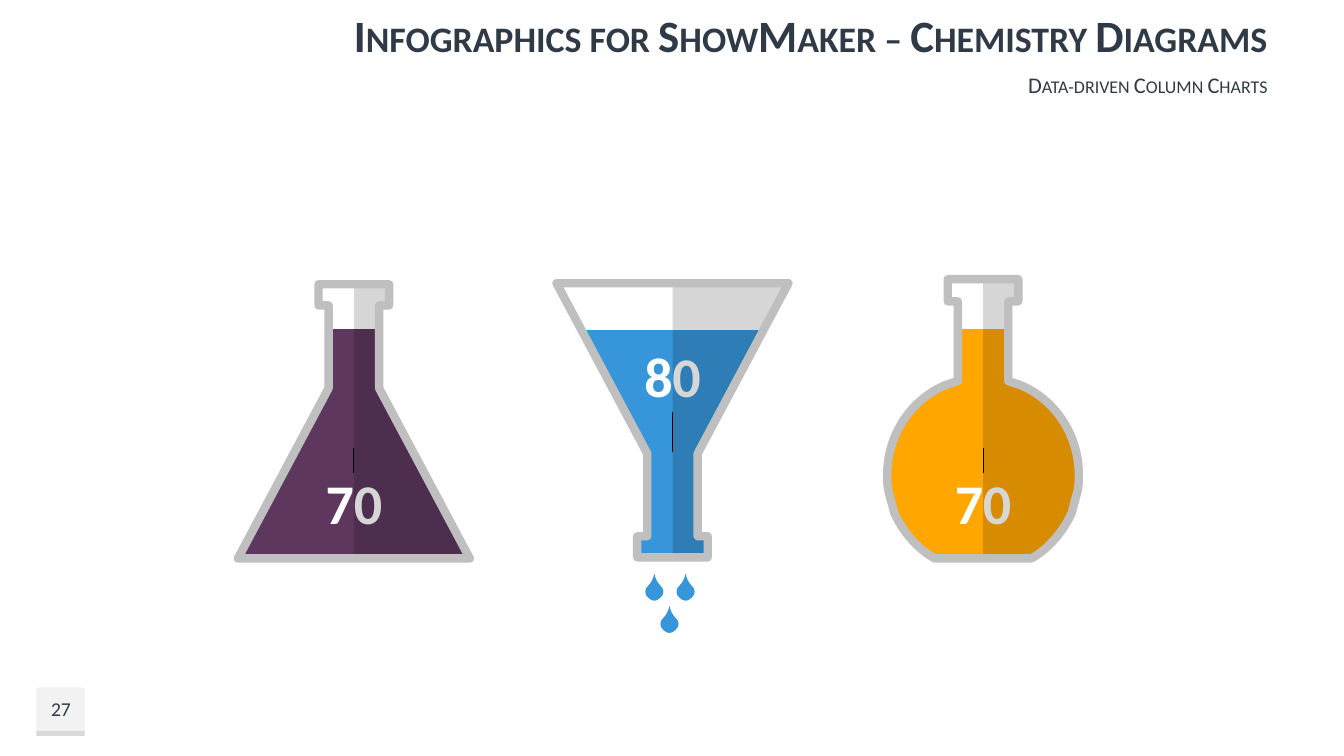
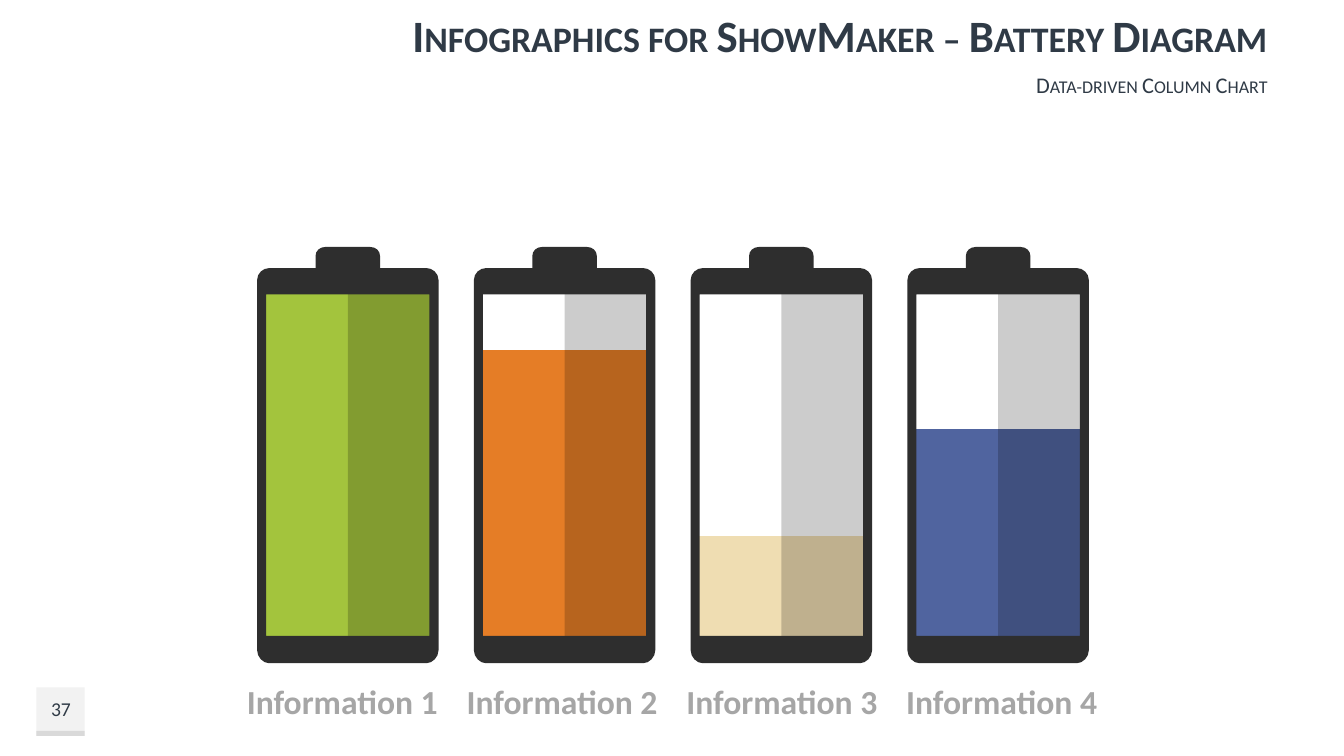
from lxml import etree
from pptx import Presentation, util as u
from pptx.chart.data import CategoryChartData
from pptx.dml.color import RGBColor
from pptx.enum import chart as ch, shapes, text
from pptx.oxml import parse_xml
from pptx.oxml.ns import nsdecls, qn

FONT = "Calibri"
INK = RGBColor(0x2F, 0x3A, 0x46)
WHITE = RGBColor(0xFF, 0xFF, 0xFF)
BLACK = RGBColor(0, 0, 0)
BADGE = RGBColor(0xF2, 0xF2, 0xF2)
BADGE_EDGE = RGBColor(0xD9, 0xD9, 0xD9)
GLASS = RGBColor(0xBF, 0xBF, 0xBF)
CASE = RGBColor(0x2E, 0x2E, 0x2E)
CAPTION = RGBColor(0xA6, 0xA6, 0xA6)
PLUM = RGBColor(0x5E, 0x37, 0x5E)
BLUE = RGBColor(0x37, 0x96, 0xDA)
AMBER = RGBColor(0xFF, 0xA6, 0x00)
LIME = RGBColor(0xA3, 0xC4, 0x3D)
ORANGE = RGBColor(0xE5, 0x7D, 0x26)
SAND = RGBColor(0xEF, 0xDD, 0xB2)
NAVY = RGBColor(0x50, 0x64, 0x9F)

# Half outlines: (dx, dy) is a line, six numbers are a curve, measured from axis and top.
CONE = [(.35, 0), (.35, .21), (.25, .21), (.25, 1.03), (1.15, 2.72)]
GLOBE = [(.35, 0), (.35, .22), (.25, .22), (.25, 1.01), (.37, 1.05),
         (.71, 1.19, .95, 1.54, .95, 1.94), (.95, 2.01, .95, 2.07, .93, 2.13),
         (.89, 2.28), (.88, 2.32), (.8, 2.49, .68, 2.64, .53, 2.74), (.48, 2.77)]
DROP = [(0, 0), (.01, .05, .03, .09, .06, .12), (.1, .15, .1, .21, .06, .24),
        (.04, .26, .02, .27, 0, .27)]
BATTERY = [(.22, 0), (.28, 0, .32, .04, .32, .09), (.32, .21), (.78, .21),
           (.84, .21, .9, .26, .9, .33), (.9, 4), (.9, 4.07, .84, 4.13, .78, 4.13)]
WINDOW = [(.81, .47), (.81, 3.86)]


def pairs(seg):
    """Split a segment into its points."""
    return list(zip(seg[::2], seg[1::2]))


def mirror(half):
    """Close a right-hand half outline with its reflection."""
    ring = list(half)
    x, y = half[-1][-2:]
    if x:
        ring.append((-x, y))
    for before, seg in reversed(list(zip(half, half[1:]))):
        back = pairs(seg)[-2::-1] + [before[-2:]]
        ring.append(tuple(v for x, y in back for v in (-x, y)))
    return ring


def paint(sp, fill=None, opacity=None, line=None, width=0):
    """Set fill, opacity and line of a shape."""
    sp.shadow.inherit = False
    if fill is None:
        sp.fill.background()
    else:
        sp.fill.solid()
        sp.fill.fore_color.rgb = fill
    if opacity:
        clr = next(sp.element.iter(qn("a:srgbClr")))
        etree.SubElement(clr, qn("a:alpha")).set("val", str(opacity * 1000))
    if line is None:
        sp.line.fill.background()
    else:
        sp.line.color.rgb = line
        sp.line.width = u.Pt(width)


def draw(s, axis, top, rings, **style):
    """Draw closed outlines of lines and curves relative to an axis and a top edge."""
    fb = None
    for ring in rings:
        first, *rest = [(u.Inches(axis + x), u.Inches(top + y))
                        for seg in ring for x, y in pairs(seg)]
        if fb is None:
            fb = s.shapes.build_freeform(*first, scale=1.0)
        else:
            fb.move_to(*first)
        fb.add_line_segments(rest, close=True)
    sp = fb.convert_to_shape()
    steps = iter(list(sp.element.iter(qn("a:lnTo"))))
    for seg in (seg for ring in rings for seg in ring[1:]):
        step = next(steps)
        if len(seg) == 6:
            step.tag = qn("a:cubicBezTo")
            for control in (next(steps), next(steps)):
                step.append(control[0])
                control.getparent().remove(control)
    paint(sp, **style)


def rect(s, box, **style):
    """Draw a plain rectangle."""
    sp = s.shapes.add_shape(shapes.MSO_SHAPE.RECTANGLE, *map(u.Inches, box))
    paint(sp, **style)


def write(sp, words, size, color, align, bold=False, small=False, wrap=True):
    """Write one formatted line, centred vertically in its box."""
    tf = sp.text_frame
    tf.word_wrap = wrap
    tf.auto_size = text.MSO_AUTO_SIZE.NONE
    tf.vertical_anchor = text.MSO_ANCHOR.MIDDLE
    p = tf.paragraphs[0]
    p.alignment = align
    r = p.add_run()
    r.text = words
    f = r.font
    f.name, f.size, f.bold, f.color.rgb = FONT, u.Pt(size), bold, color
    if small:
        r._r.get_or_add_rPr().set("cap", "small")


def textbox(s, box, *args, **kw):
    """Add a text box holding one line."""
    write(s.shapes.add_textbox(*map(u.Inches, box)), *args, **kw)


def base_slide(prs, title, subtitle, number):
    """Add a slide with title, subtitle and page badge."""
    s = prs.slides.add_slide(prs.slide_layouts[5])
    sp = s.shapes.title
    sp.left, sp.top, sp.width, sp.height = map(u.Inches, (2.18, 0, 10.49, .68))
    right, center = text.PP_ALIGN.RIGHT, text.PP_ALIGN.CENTER
    write(sp, title, 32, INK, right, bold=True, small=True)
    textbox(s, (2.18, .68, 10.49, .31), subtitle, 16, INK, right, small=True)
    rect(s, (.36, 6.82, .48, .48), fill=BADGE)
    rect(s, (.36, 7.25, .48, .05), fill=BADGE_EDGE)
    textbox(s, (.29, 6.82, .63, .43), number, 14, INK, center)
    return s


def layout(**parts):
    """Build a manual chart layout."""
    inner = "".join(f'<c:{k} val="{v}"/>' for k, v in parts.items())
    return parse_xml(f'<c:layout {nsdecls("c")}><c:manualLayout>{inner}'
                     '</c:manualLayout></c:layout>')


def column_chart(s, box, kind, cats, series, gap, overlap):
    """Add a bare column chart without axes, legend or background."""
    data = CategoryChartData()
    data.categories = cats
    for i, vals in enumerate(series, 1):
        data.add_series(f"Series {i}", vals)
    chart = s.shapes.add_chart(kind, *map(u.Inches, box), data).chart
    chart.has_title = chart.has_legend = False
    chart.font.name, chart.font.size, chart.font.color.rgb = FONT, u.Pt(10), BLACK
    chart.value_axis.has_major_gridlines = False
    chart.value_axis.visible = chart.category_axis.visible = False
    plot = chart.plots[0]
    plot.gap_width, plot.overlap, plot.vary_by_categories = gap, overlap, False
    clear = parse_xml(f'<c:spPr {nsdecls("c", "a")}><a:noFill/><a:ln><a:noFill/></a:ln></c:spPr>')
    chart._chartSpace.find(qn("c:chart")).addnext(clear)
    return chart


def fill_format(fmt, color):
    """Fill a series or point with one colour."""
    fmt.fill.solid()
    fmt.fill.fore_color.rgb = color


def place_label(ser, shift):
    """Move the label of the first point, without a leader line."""
    label = next(ser._element.iter(qn("c:dLbl")))
    label.find(qn("c:idx")).addnext(layout(x=0, y=shift))
    labels = label.getparent()
    for old in labels.findall(qn("c:showLeaderLines")):
        labels.remove(old)
    labels.append(parse_xml(
        f'<c:extLst {nsdecls("c")}><c:ext uri="{{CE6537A1-D6FC-4f65-9D91-7224C49458BB}}" '
        'xmlns:c15="http://schemas.microsoft.com/office/drawing/2012/chart">'
        '<c15:showLeaderLines val="0"/></c:ext></c:extLst>'))


def vessel(s, axis, top, half, value, color, chart_top, chart_height, label_shift, flip=False):
    """Draw a glass vessel filled by a stacked column chart."""
    chart = column_chart(s, (axis - 3.14, chart_top, 6.28, chart_height),
                         ch.XL_CHART_TYPE.COLUMN_STACKED_100, ["1"],
                         [[value], [100 - value]], 150, 100)
    liquid, rest = chart.plots[0].series
    fill_format(liquid.format, color)
    rest.format.fill.background()
    f = liquid.points[0].data_label.font
    f.name, f.size, f.bold, f.color.rgb = FONT, u.Pt(40), True, WHITE
    place_label(liquid, label_shift)

    if flip:
        height = half[-1][-1]
        half = [(x, height - y) for x, y in half]
    outline = mirror(half)
    mask = mirror([(1.78, 2.26 - top), (1.78, 6.09 - top)])
    shade = [(0, half[0][1])] + half + [(0, half[-1][-1])]
    draw(s, axis, top, [outline, mask], fill=WHITE)
    draw(s, axis, top, [shade], fill=BLACK, opacity=16)
    draw(s, axis, top, [outline], line=GLASS, width=6)


def battery(s, axis, top):
    """Draw a battery case with a window and a shaded right half."""
    rect(s, (axis, top + .27, .84, 3.74), fill=BLACK, opacity=20)
    draw(s, axis, top, [mirror(WINDOW), mirror(BATTERY)], fill=CASE)


def chemistry_slide(prs):
    """Build the slide with three vessels."""
    s = base_slide(prs, "Infographics for ShowMaker – Chemistry Diagrams",
                   "Data-driven Column Charts", "27")
    vessel(s, 3.51, 2.82, CONE, 70, PLUM, 2.18, 3.53, .16)
    vessel(s, 6.67, 2.81, CONE, 80, BLUE, 2.61, 3.13, -.23, flip=True)
    for axis, top in ((6.49, 5.69), (6.8, 5.69), (6.64, 6.01)):
        draw(s, axis, top, [mirror(DROP)], fill=BLUE)
    vessel(s, 9.75, 2.77, GLOBE, 70, AMBER, 2.18, 3.53, .16)


def battery_slide(prs):
    """Build the slide with four batteries."""
    s = base_slide(prs, "Infographics for ShowMaker – Battery Diagram",
                   "Data-driven Column Chart", "37")
    chart = column_chart(s, (2.22, 1.55, 8.89, 5.04), ch.XL_CHART_TYPE.COLUMN_CLUSTERED,
                         ["1", "2", "3", "4"], [[100, 82, 30, 60]], 28, -27)
    chart.value_axis.minimum_scale, chart.value_axis.maximum_scale = 0, 100
    area = next(chart._chartSpace.iter(qn("c:plotArea")))
    for old in area.findall(qn("c:layout")):
        area.remove(old)
    area.insert(0, layout(layoutTarget="inner", xMode="edge", yMode="edge",
                          x=.017, y=.256, w=.966, h=.703))
    ser = chart.plots[0].series[0]
    for i, color in enumerate((LIME, ORANGE, SAND, NAVY)):
        fill_format(ser.points[i].format, color)
        battery(s, 3.45 + 2.15 * i, 2.45)
        textbox(s, (2.34 + 2.18 * i, 6.71, 2.11, .5), f"Information {i + 1}", 24, CAPTION,
                text.PP_ALIGN.CENTER, bold=True, wrap=False)


def main():
    """Build and save the presentation."""
    prs = Presentation()
    prs.slide_width, prs.slide_height = u.Inches(13.33), u.Inches(7.5)
    chemistry_slide(prs)
    battery_slide(prs)
    prs.save("out.pptx")


if __name__ == "__main__":
    main()
